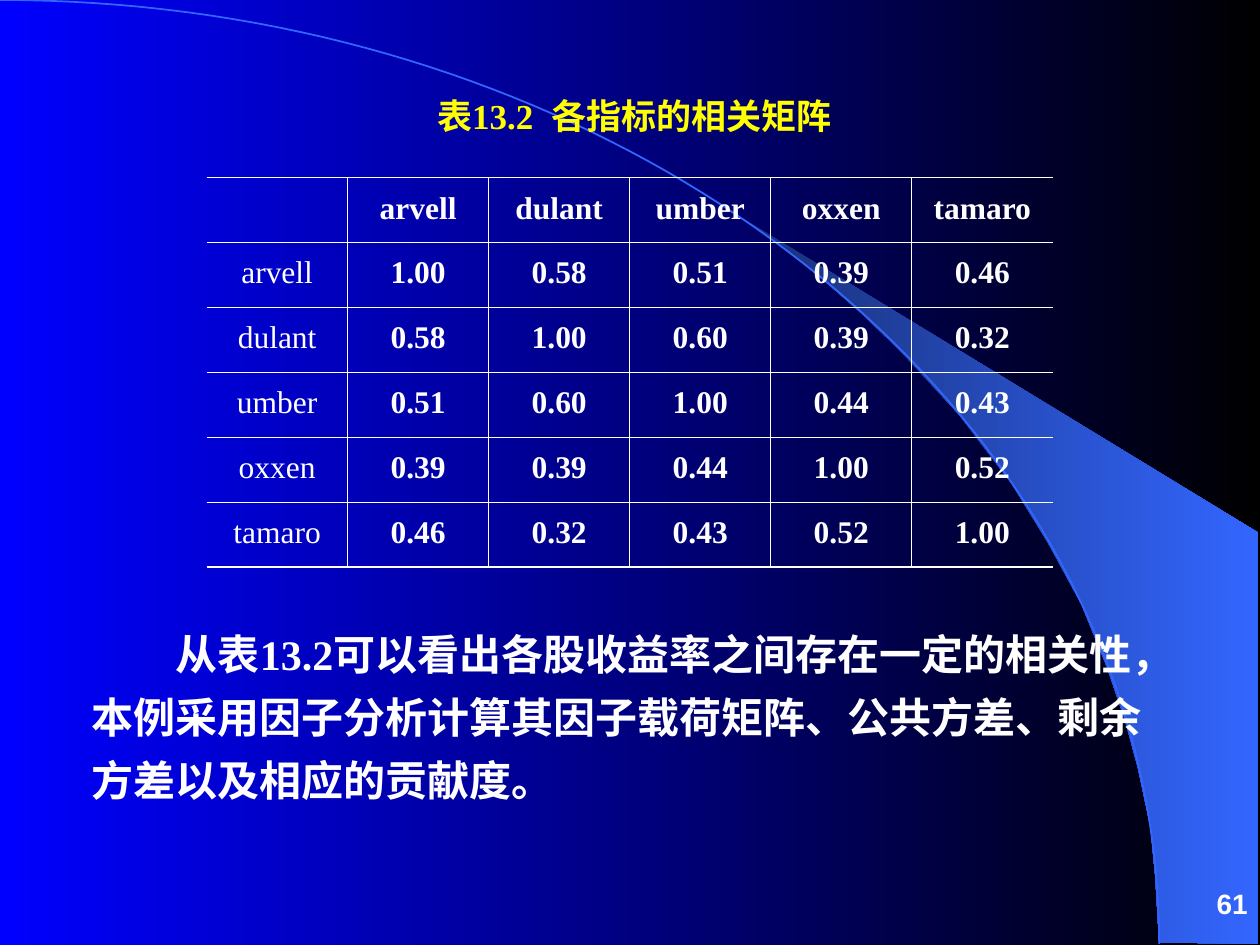
from dataclasses import dataclass

from lxml import etree
from pptx import Presentation
from pptx import util as u
from pptx.dml.color import RGBColor
from pptx.enum import text
from pptx.oxml import ns


@dataclass(frozen=True)
class Theme:
    blue: str = "0000FF"
    black: str = "000000"
    navy: str = "182F76"
    sky: str = "3366FF"
    white: str = "FFFFFF"
    yellow: str = "FFFF00"
    serif: str = "Times New Roman"
    sans: str = "Arial"
    title: int = 20
    body: int = 24
    cell: int = 18
    number: int = 16
    hairline: float = 0.45
    rule: float = 0.75


THEME = Theme()
rgb = RGBColor.from_string

NAMES = ["arvell", "dulant", "umber", "oxxen", "tamaro"]
CORRELATIONS = [
    [1.00, 0.58, 0.51, 0.39, 0.46],
    [0.58, 1.00, 0.60, 0.39, 0.32],
    [0.51, 0.60, 1.00, 0.44, 0.43],
    [0.39, 0.39, 0.44, 1.00, 0.52],
    [0.46, 0.32, 0.43, 0.52, 1.00],
]

# Outline of the bright sweep at the lower right, in points
SWEEP = [
    (662.4, 538.6), (719.3, 539.3), (719.3, 304.6), (424.1, 124.6),
    (449.3, 143.3), (470.2, 159.8), (493.2, 180), (515.5, 201.6),
    (548.6, 237.6), (578.2, 276.5), (599, 310.3), (617.8, 344.9),
    (632.2, 380.2), (643, 411.8), (650.2, 438.5), (657.4, 472.3),
    (660.2, 501.1),
]


def write(tf, words, size=THEME.cell, color=THEME.white, font=THEME.serif, bold=True,
          align=text.PP_ALIGN.LEFT, spacing=None, indent=0):
    """Put one formatted paragraph into a text frame."""
    p = tf.paragraphs[0]
    p.alignment = align
    if spacing:
        p.line_spacing = u.Pt(spacing)
    if indent:
        p._p.get_or_add_pPr().set("indent", str(u.Pt(indent)))
    r = p.add_run()
    r.text = words
    r.font.size, r.font.name, r.font.bold = u.Pt(size), font, bold
    r.font.color.rgb = rgb(color)
    r._r.get_or_add_rPr().set("lang", "zh-CN")


def bezier(p0, p1, p2, p3, steps=80):
    """Points along a cubic curve."""
    def at(t, axis):
        s = 1 - t
        return (s**3 * p0[axis] + 3 * s * s * t * p1[axis]
                + 3 * s * t * t * p2[axis] + t**3 * p3[axis])
    return [(at(i / steps, 0), at(i / steps, 1)) for i in range(steps + 1)]


class Deck:
    def __init__(self, theme, width, height):
        self.theme = theme
        self.prs = Presentation()
        self.prs.slide_width, self.prs.slide_height = u.Pt(width), u.Pt(height)
        self.s = self.prs.slides.add_slide(self.prs.slide_layouts[6])

    def gradient(self, fill, *colors):
        fill.gradient()
        fill.gradient_angle = 0
        for stop, color in zip(fill.gradient_stops, colors):
            stop.color.rgb = rgb(color)

    def outline(self, points, close):
        pts = [(u.Pt(x), u.Pt(y)) for x, y in points]
        builder = self.s.shapes.build_freeform(*pts[0], scale=1.0)
        builder.add_line_segments(pts[1:], close=close)
        sp = builder.convert_to_shape()
        sp.shadow.inherit = False
        return sp

    def area(self, points, *colors):
        sp = self.outline(points, close=True)
        self.gradient(sp.fill, *colors)
        sp.line.fill.background()

    def curve(self, points, color, width):
        sp = self.outline(points, close=False)
        sp.fill.background()
        sp.line.color.rgb = rgb(color)
        sp.line.width = u.Pt(width)

    def textbox(self, box, words, anchor=text.MSO_ANCHOR.TOP, **style):
        tf = self.s.shapes.add_textbox(*map(u.Pt, box)).text_frame
        tf.word_wrap = True
        tf.vertical_anchor = anchor
        write(tf, words, **style)

    def border(self, cell, side, width):
        ln = etree.SubElement(cell._tc.get_or_add_tcPr(), ns.qn(f"a:ln{side}"),
                              w=str(u.Pt(width)))
        if width:
            fill = etree.SubElement(ln, ns.qn("a:solidFill"))
            etree.SubElement(fill, ns.qn("a:srgbClr"), val=self.theme.white)
        else:
            etree.SubElement(ln, ns.qn("a:noFill"))

    def table(self, left, top, col_width, row_height, rows):
        n_rows, n_cols = len(rows), len(rows[0])
        tbl = self.s.shapes.add_table(
            n_rows, n_cols, u.Pt(left), u.Pt(top),
            u.Pt(col_width * n_cols), u.Pt(row_height * n_rows)).table
        tbl.first_row = tbl.horz_banding = False
        for col in tbl.columns:
            col.width = u.Pt(col_width)
        for row in tbl.rows:
            row.height = u.Pt(row_height)
        thin, thick = self.theme.hairline, self.theme.rule
        for i, row in enumerate(rows):
            for j, words in enumerate(row):
                cell = tbl.cell(i, j)
                cell.margin_left = cell.margin_right = u.Pt(5.76)
                cell.vertical_anchor = text.MSO_ANCHOR.MIDDLE
                # Open at the sides, heavier at top and bottom
                self.border(cell, "L", thin if j else 0)
                self.border(cell, "R", thin if j < n_cols - 1 else 0)
                self.border(cell, "T", thin if i else thick)
                self.border(cell, "B", thin if i < n_rows - 1 else thick)
                cell.fill.background()
                if words:
                    write(cell.text_frame, words, bold=j > 0, spacing=18,
                          align=text.PP_ALIGN.CENTER)


def main():
    t = THEME
    deck = Deck(t, 720, 540)

    # Background
    deck.gradient(deck.s.background.fill, t.blue, t.black)
    deck.area(SWEEP, t.navy, t.sky)
    deck.curve(bezier((0, 0), (365.8, 0), (662.4, 241.2), (662.4, 539.3)), t.sky, 1)

    # Slide number
    deck.textbox((570.2, 498.2, 149.8, 36), "61", text.MSO_ANCHOR.MIDDLE,
                 size=t.number, font=t.sans, align=text.PP_ALIGN.RIGHT)

    # Table title and correlation matrix
    deck.textbox((78.5, 50.4, 568, 31.7), "表13.2  各指标的相关矩阵",
                 size=t.title, color=t.yellow, align=text.PP_ALIGN.CENTER)
    rows = [[""] + NAMES]
    rows += [[name] + [f"{v:.2f}" for v in values]
             for name, values in zip(NAMES, CORRELATIONS)]
    deck.table(118.1, 101.5, 80.6, 37.1, rows)

    # Conclusion
    deck.textbox((45.4, 348.5, 618.5, 144),
                 "从表13.2可以看出各股收益率之间存在一定的相关性，本例采用因子分析计算其"
                 "因子载荷矩阵、公共方差、剩余方差以及相应的贡献度。",
                 size=t.body, spacing=36, indent=48)

    deck.prs.save("out.pptx")


if __name__ == "__main__":
    main()
